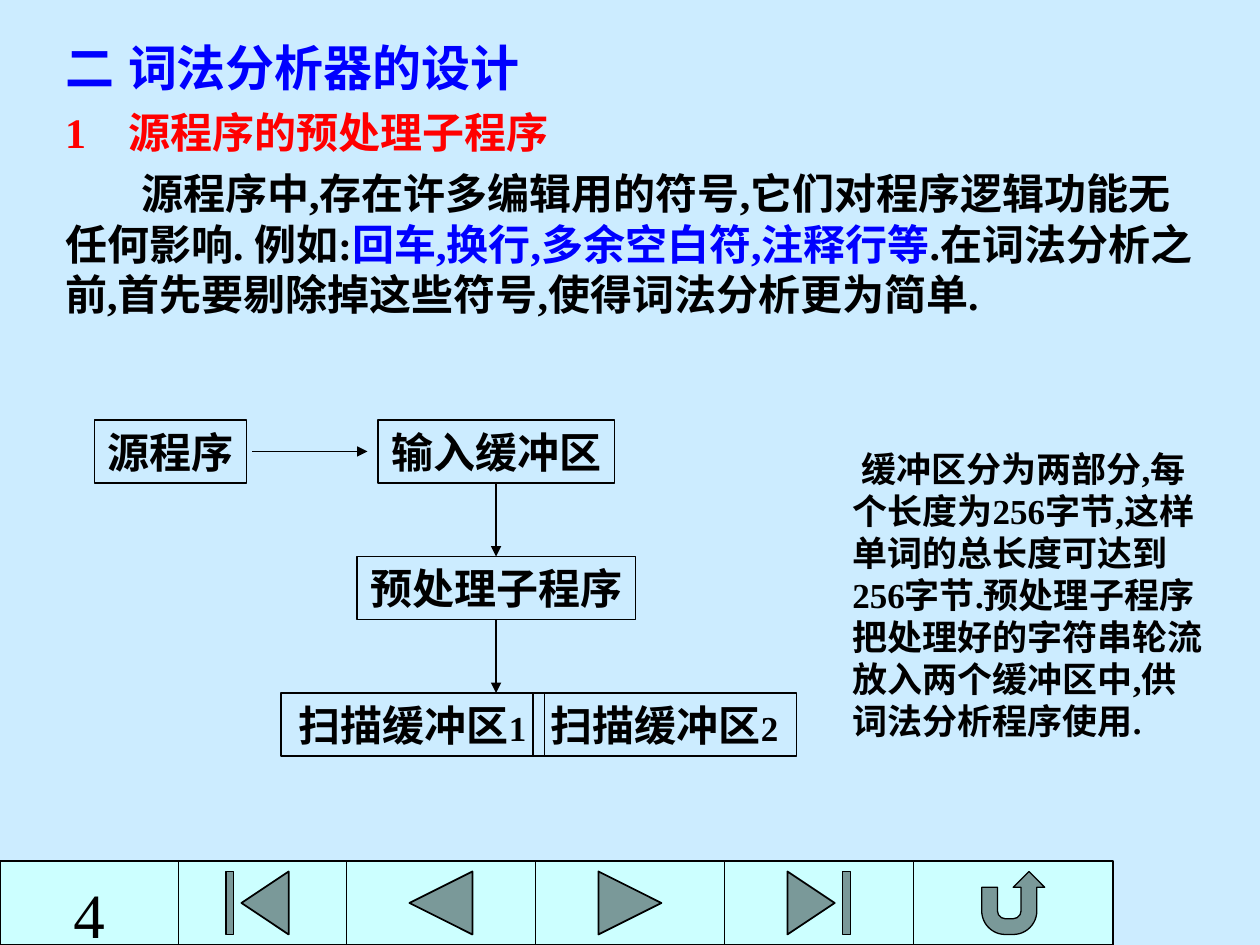
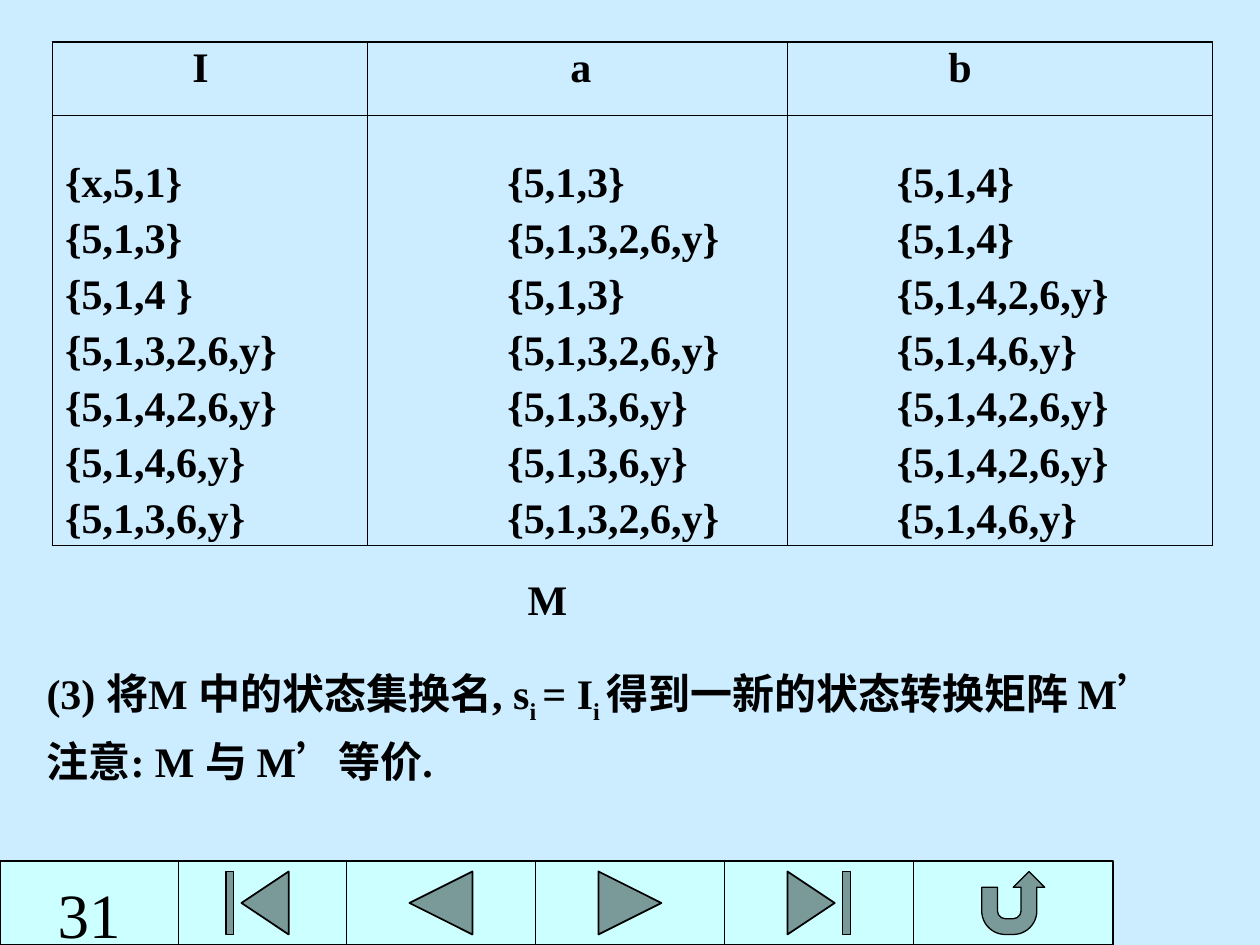
from dataclasses import dataclass

from lxml import etree
from pptx import Presentation
from pptx.dml.color import RGBColor
from pptx.enum.lang import MSO_LANGUAGE_ID
from pptx.enum.shapes import MSO_CONNECTOR, MSO_SHAPE
from pptx.enum.text import MSO_ANCHOR, MSO_AUTO_SIZE, PP_ALIGN
from pptx.oxml.ns import qn
from pptx.util import Pt

LEFT, CENTER = PP_ALIGN.LEFT, PP_ALIGN.CENTER
TOP, MIDDLE, BOTTOM = MSO_ANCHOR.TOP, MSO_ANCHOR.MIDDLE, MSO_ANCHOR.BOTTOM
NO_AUTOSIZE = MSO_AUTO_SIZE.NONE
RECTANGLE = MSO_SHAPE.RECTANGLE
STRAIGHT = MSO_CONNECTOR.STRAIGHT
CHINESE = MSO_LANGUAGE_ID.SIMPLIFIED_CHINESE
BEGINNING = MSO_SHAPE.ACTION_BUTTON_BEGINNING
PREVIOUS = MSO_SHAPE.ACTION_BUTTON_BACK_OR_PREVIOUS
NEXT = MSO_SHAPE.ACTION_BUTTON_FORWARD_OR_NEXT
END = MSO_SHAPE.ACTION_BUTTON_END
RETURN = MSO_SHAPE.ACTION_BUTTON_RETURN
SIDE_TOP, SIDE_BOTTOM = 0, 2
LAYOUT_CONTENT, LAYOUT_BLANK = 1, 6


@dataclass(frozen=True)
class Theme:
    """Colours, font, type sizes and line widths of the deck."""
    background: RGBColor = RGBColor.from_string("CCECFF")
    button: RGBColor = RGBColor.from_string("CCFFFF")
    ink: RGBColor = RGBColor.from_string("000000")
    accent: RGBColor = RGBColor.from_string("0000FF")
    section: RGBColor = RGBColor.from_string("FF0000")
    font: str = "Times New Roman"
    title: int = 28
    body: int = 24
    small: int = 20
    page: int = 36
    thin: float = 0.75
    thick: float = 1


THEME = Theme()
NAV_TOP, NAV_HEIGHT = 492, 48
NAV_BUTTONS = [
    (BEGINNING, 96, 102), (PREVIOUS, 198, 108), (NEXT, 306, 108),
    (END, 414, 108), (RETURN, 522, 114),
]
MATRIX_WIDTHS = [180, 240, 243]
MATRIX_HEIGHTS = [42, 54] + [32] * 6
HEADER_INDENTS = [80, 116, 92]
STATE_INDENTS = [7.2, 80, 62.5]
MATRIX_ROWS = [
    ("I", "a", "b"),
    ("{x,5,1}", "{5,1,3}", "{5,1,4}"),
    ("{5,1,3}", "{5,1,3,2,6,y}", "{5,1,4}"),
    ("{5,1,4 }", "{5,1,3}", "{5,1,4,2,6,y}"),
    ("{5,1,3,2,6,y}", "{5,1,3,2,6,y}", "{5,1,4,6,y}"),
    ("{5,1,4,2,6,y}", "{5,1,3,6,y}", "{5,1,4,2,6,y}"),
    ("{5,1,4,6,y}", "{5,1,3,6,y}", "{5,1,4,2,6,y}"),
    ("{5,1,3,6,y}", "{5,1,3,2,6,y}", "{5,1,4,6,y}"),
]


def apply_formats(target, formats):
    """Set every attribute named in formats on target."""
    for name, value in formats.items():
        setattr(target, name, value)


def points(*lengths):
    """Turn plain numbers into point lengths."""
    return [Pt(length) for length in lengths]


def write_run(paragraph, text, size=THEME.body, color=THEME.ink, bold=True, baseline=0):
    """Add one formatted run to a paragraph."""
    run = paragraph.add_run()
    run.text = text
    apply_formats(run.font, {"name": THEME.font, "size": Pt(size), "bold": bold,
                             "language_id": CHINESE})
    run.font.color.rgb = color
    if baseline:
        run._r.get_or_add_rPr().set("baseline", str(baseline * 1000))


def write_paragraph(paragraph, runs, align=LEFT, before=0, indent=0, tab=None):
    """Fill a paragraph with (text, formats) runs, without a bullet."""
    apply_formats(paragraph, {"alignment": align, "space_before": Pt(before),
                              "space_after": Pt(0), "line_spacing": 1.0})
    properties = paragraph._p.get_or_add_pPr()
    properties.set("marL", "0")
    properties.set("indent", str(Pt(indent)))
    etree.SubElement(properties, qn("a:buNone"))
    if tab:
        tabs = etree.SubElement(properties, qn("a:tabLst"))
        etree.SubElement(tabs, qn("a:tab"), pos=str(Pt(tab)), algn="l")
    for text, formats in runs:
        write_run(paragraph, text, **formats)


def write_frame(frame, paragraphs, anchor=TOP, wrap=True, margin_top=3.6):
    """Fill a text frame with (runs, formats) paragraphs."""
    apply_formats(frame, {
        "word_wrap": wrap, "auto_size": NO_AUTOSIZE, "vertical_anchor": anchor,
        "margin_left": Pt(7.2), "margin_right": Pt(7.2),
        "margin_top": Pt(margin_top), "margin_bottom": Pt(3.6)})
    for index, (runs, formats) in enumerate(paragraphs):
        paragraph = frame.add_paragraph() if index else frame.paragraphs[0]
        write_paragraph(paragraph, runs, **formats)


def fill_placeholder(placeholder, box, paragraphs):
    """Move a placeholder to box and write its text."""
    apply_formats(placeholder, dict(zip(("left", "top", "width", "height"), points(*box))))
    write_frame(placeholder.text_frame, paragraphs)


def add_text(slide, box, paragraphs):
    """Add a wrapping text box."""
    write_frame(slide.shapes.add_textbox(*points(*box)).text_frame, paragraphs)


def add_outlined(slide, kind, box, fill=None, width=THEME.thin):
    """Add a preset shape with a dark outline and an optional fill."""
    shape = slide.shapes.add_shape(kind, *points(*box))
    shape.shadow.inherit = False
    if fill is None:
        shape.fill.background()
    else:
        shape.fill.solid()
        shape.fill.fore_color.rgb = fill
    shape.line.color.rgb = THEME.ink
    shape.line.width = Pt(width)
    return shape


def add_stage(slide, box, name, number=""):
    """Add one labelled box of the flow."""
    stage = add_outlined(slide, RECTANGLE, box)
    runs = [(name, {})]
    if number:
        runs.append((number, {"size": THEME.small}))
    write_frame(stage.text_frame, [(runs, {"align": CENTER})], MIDDLE, False)
    return stage


def add_arrow(slide, start, finish, source=None, target=None):
    """Add an arrow, joined to the stages given."""
    arrow = slide.shapes.add_connector(STRAIGHT, *points(*start, *finish))
    if source is not None:
        arrow.begin_connect(source, SIDE_BOTTOM)
    if target is not None:
        arrow.end_connect(target, SIDE_TOP)
    arrow.line.color.rgb = THEME.ink
    arrow.line.width = Pt(THEME.thin)
    properties = arrow.element.spPr
    etree.SubElement(properties.find(qn("a:ln")), qn("a:tailEnd"), type="triangle")
    etree.SubElement(properties, qn("a:effectLst"))


def add_navigation(slide, page):
    """Add the row of navigation buttons and the page number."""
    for kind, left, width in NAV_BUTTONS:
        add_outlined(slide, kind, (left, NAV_TOP, width, NAV_HEIGHT), THEME.button,
                     THEME.thin if kind == RETURN else THEME.thick)
    page_box = add_outlined(slide, RECTANGLE, (0, NAV_TOP, 102, NAV_HEIGHT),
                            THEME.button, THEME.thick)
    number = [(page, {"size": THEME.page, "bold": False})]
    write_frame(page_box.text_frame, [(number, {"align": CENTER})], margin_top=8)


def set_borders(cell, visible):
    """Draw the borders of a cell whose sides are in visible."""
    properties = cell._tc.get_or_add_tcPr()
    for side in "LRTB":
        border = etree.SubElement(properties, qn(f"a:ln{side}"), w=str(Pt(THEME.thin)))
        if side in visible:
            paint = etree.SubElement(border, qn("a:solidFill"))
            etree.SubElement(paint, qn("a:srgbClr"), val=str(THEME.ink))
        else:
            etree.SubElement(border, qn("a:noFill"))


def add_matrix(slide, left, top):
    """Add the state transition matrix."""
    matrix = slide.shapes.add_table(
        len(MATRIX_ROWS), len(MATRIX_WIDTHS),
        *points(left, top, sum(MATRIX_WIDTHS), sum(MATRIX_HEIGHTS))).table
    apply_formats(matrix, {"first_row": False, "horz_banding": False})
    for column, width in zip(matrix.columns, MATRIX_WIDTHS):
        column.width = Pt(width)
    for row, height in zip(matrix.rows, MATRIX_HEIGHTS):
        row.height = Pt(height)
    for row_index, states in enumerate(MATRIX_ROWS):
        header = row_index == 0
        indents = HEADER_INDENTS if header else STATE_INDENTS
        sides = "LR"
        if row_index < 2:
            sides += "T"
        if row_index in (0, len(MATRIX_ROWS) - 1):
            sides += "B"
        for column_index, state in enumerate(states):
            cell = matrix.cell(row_index, column_index)
            set_borders(cell, sides)
            cell.fill.background()
            apply_formats(cell, {
                "vertical_anchor": TOP if header else BOTTOM,
                "margin_left": Pt(indents[column_index]), "margin_right": Pt(0),
                "margin_top": Pt(2 if header else 0), "margin_bottom": Pt(2)})
            write_paragraph(cell.text_frame.paragraphs[0], [(state, {})])


def build_preprocessing(slide):
    """Build the slide on the preprocessing subroutine."""
    title_format = {"size": THEME.title, "color": THEME.accent}
    fill_placeholder(slide.shapes.title, (30, 18, 660, 40), [
        ([("二\t词法分析器的设计", title_format)], {"tab": 48})])
    fill_placeholder(slide.placeholders[1], (30, 57.5, 660, 158), [
        ([("1\t源程序的预处理子程序", {"color": THEME.section})], {"tab": 54}),
        ([("源程序中,存在许多编辑用的符号,它们对程序逻辑功能无任何影响. 例如:", {}),
          ("回车,换行,多余空白符,注释行等", {"color": THEME.accent}),
          (".在词法分析之前,首先要剔除掉这些符号,使得词法分析更为简单.", {})],
         {"before": 6, "indent": 43.5}),
    ])
    input_top, preprocess_top, scan_top = [240 + 78 * level for level in range(3)]
    add_stage(slide, (54, input_top, 87, 36), "源程序")
    input_buffer = add_stage(slide, (216, input_top, 135, 36), "输入缓冲区")
    preprocessor = add_stage(slide, (204, preprocess_top, 159, 36), "预处理子程序")
    for number, left in (("2", 304.5), ("1", 160.5)):
        add_stage(slide, (left, scan_top, 150.5, 36), "扫描缓冲区", number)
    axis = 283.5
    add_arrow(slide, (144, input_top + 18), (210, input_top + 18))
    add_arrow(slide, (axis, input_top + 36), (axis, preprocess_top),
              input_buffer, preprocessor)
    add_arrow(slide, (axis, preprocess_top + 36), (axis, scan_top), preprocessor)
    buffer_note = ("缓冲区分为两部分,每个长度为256字节,这样单词的总长度可达到256字节."
                   "预处理子程序把处理好的字符串轮流放入两个缓冲区中,供词法分析程序使用.")
    add_text(slide, (480, 252, 215, 176), [
        ([(buffer_note, {"size": THEME.small})], {"indent": 5})])
    add_navigation(slide, "4")


def build_matrix(slide):
    """Build the slide on the state transition matrix."""
    add_matrix(slide, 30, 24)
    add_text(slide, (294, 324, 37.5, 36), [([("M", {})], {"align": CENTER})])
    subscript = {"baseline": -25}
    add_text(slide, (19.5, 378, 660, 104), [
        ([("(3) 将M 中的状态集换名, s", {}), ("i ", subscript), ("= I", {}),
          ("i ", subscript), ("得到一新的状态转换矩阵 M’", {})], {}),
        ([("注意: M 与 M’等价.", {})], {"before": 6}),
    ])
    add_navigation(slide, "31")


def main():
    """Build the deck and save it."""
    deck = Presentation()
    apply_formats(deck, {"slide_width": Pt(720), "slide_height": Pt(540)})
    backdrop = deck.slide_master.background.fill
    backdrop.solid()
    backdrop.fore_color.rgb = THEME.background
    for layout, build in ((LAYOUT_CONTENT, build_preprocessing), (LAYOUT_BLANK, build_matrix)):
        build(deck.slides.add_slide(deck.slide_layouts[layout]))
    deck.save("out.pptx")


if __name__ == "__main__":
    main()
